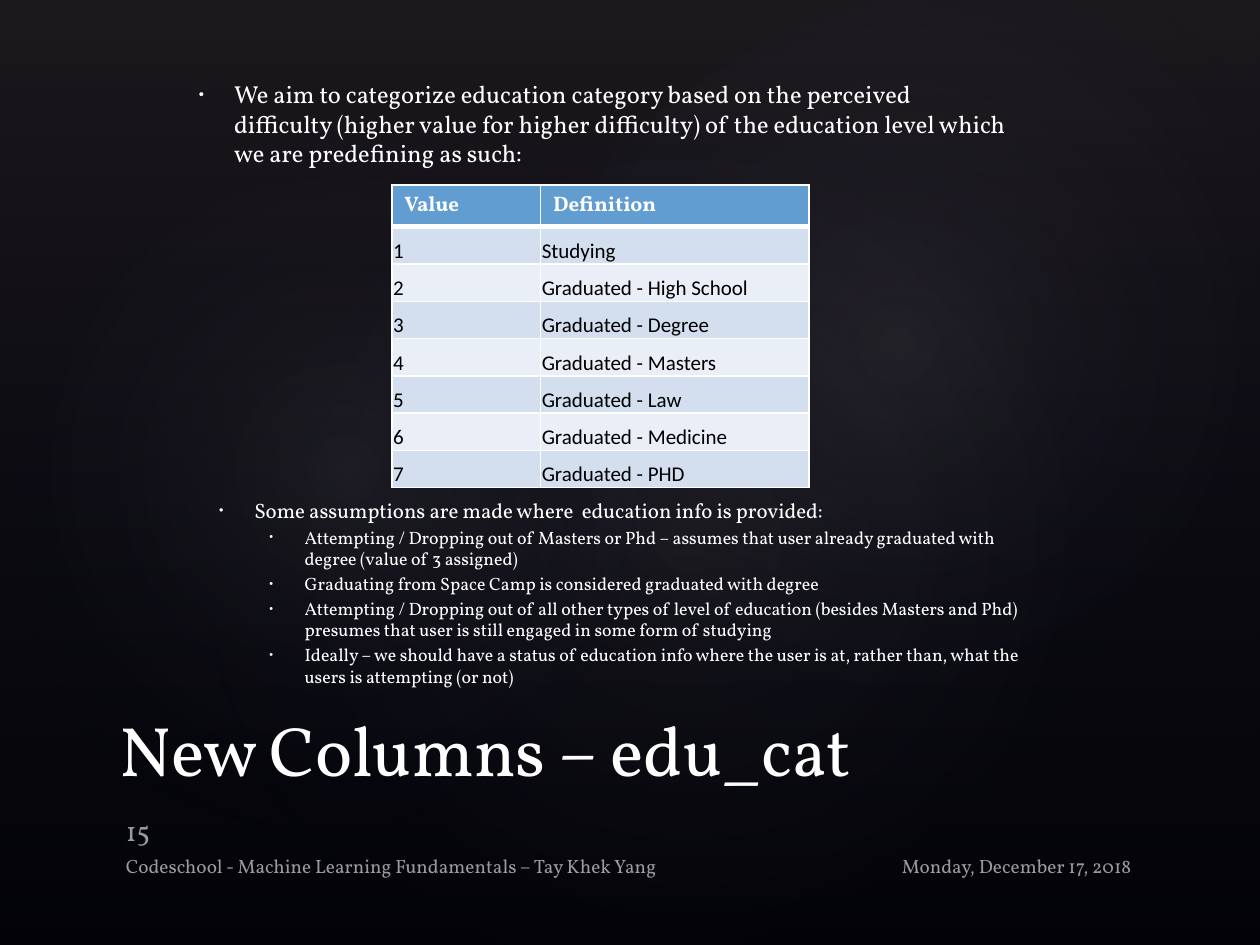
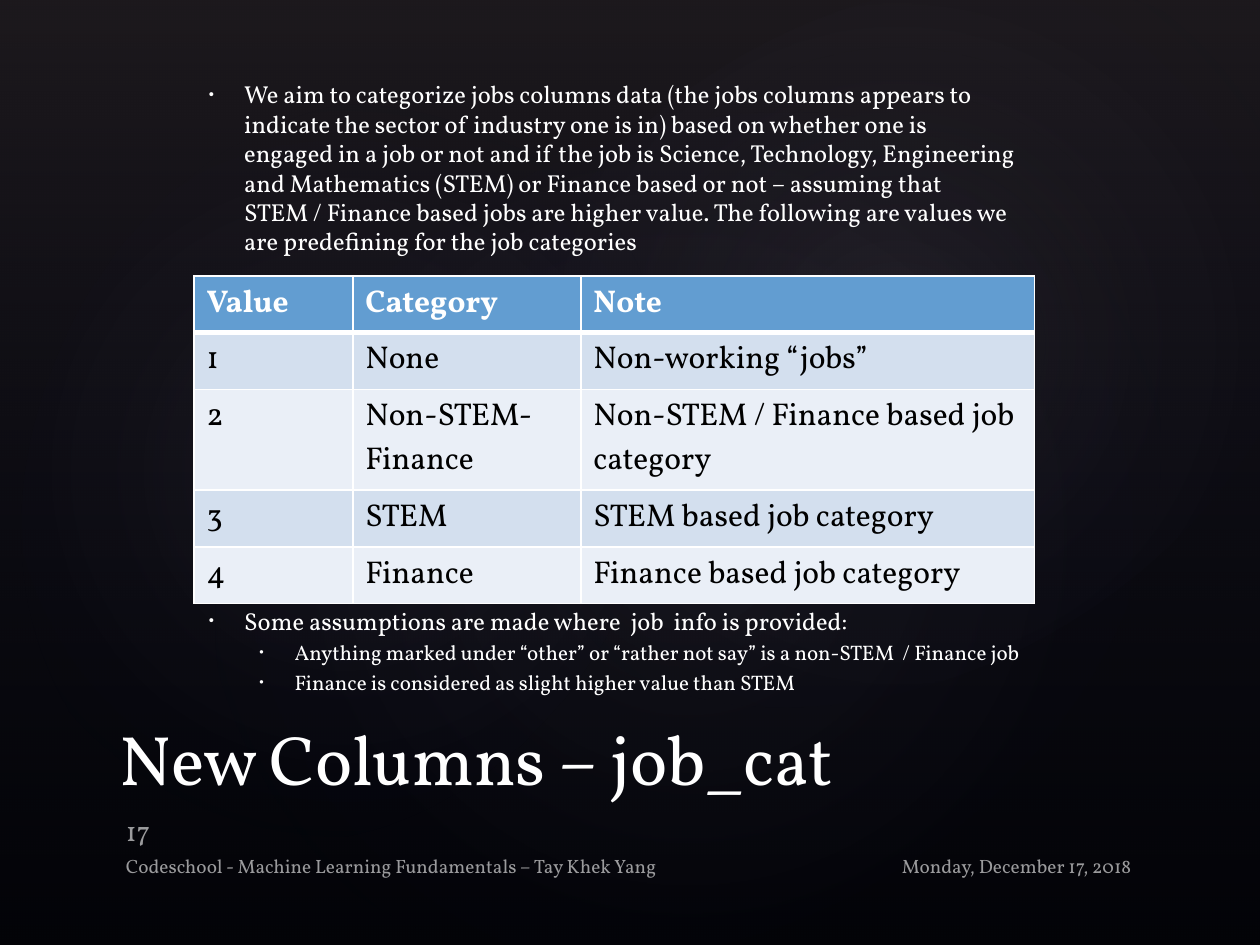
"""Build two slides that define the edu_cat and job_cat columns."""
from dataclasses import dataclass

from lxml.etree import SubElement
from pptx import Presentation
from pptx.dml.color import RGBColor
from pptx.enum.shapes import MSO_SHAPE
from pptx.enum.text import MSO_ANCHOR, PP_ALIGN
from pptx.oxml import parse_xml
from pptx.oxml.ns import nsdecls, qn
from pptx.util import Inches, Pt


@dataclass(frozen=True)
class Theme:
    font: str = "Vollkorn"
    plain_font: str = "Calibri"
    background: str = "000000"
    light: str = "FFFFFF"
    dark: str = "000000"
    header: str = "629DD1"
    bands: tuple = ("D3DFEE", "EAEFF7")
    title_size: float = 40
    number_size: float = 16
    footer_size: float = 11
    footer_alpha: int = 60
    insets: tuple = (0.1, 0.05, 0.1, 0.05)
    tight_insets: tuple = (0.01, 0.01, 0.01, 0)


THEME = Theme()
WIDTH, HEIGHT = 10, 7.5
FOOTER = "Codeschool - Machine Learning Fundamentals – Tay Khek Yang"
DATE = "Monday, December 17, 2018"

VEIL = [(0, "504652", 36), (100, "242852", 10)]
GLOWS = [
    ((1.5, 1.14, 7.92, 6.24), 328.7, 7),
    ((-0.3, 1.28, 6.06, 4.9), 294.3, 8),
    ((3.58, 0.13, 7.09, 5.2), 328.7, 8),
]

SLIDES = [
    {
        "number": "15",
        "title": "New Columns – edu_cat",
        "title_top": 5.33,
        "texts": [
            {
                "box": (1.46, 0.44, 6.67, 1.42),
                "inset_top": 0.19,
                "sizes": (14, 12),
                "lines": [
                    (0, "We aim to categorize education category based on the perceived difficulty (higher "
                        "value for higher difficulty) of the education level which we are predefining as such:"),
                ],
            },
            {
                "box": (1.62, 3.93, 6.67, 1.63),
                "inset_top": 0.02,
                "sizes": (11.9, 10.2),
                "lines": [
                    (0, "Some assumptions are made where  education info is provided:"),
                    (1, "Attempting / Dropping out of Masters or Phd – assumes that user already graduated "
                        "with degree (value of 3 assigned)"),
                    (1, "Graduating from Space Camp is considered graduated with degree"),
                    (1, "Attempting / Dropping out of all other types of level of education (besides Masters "
                        "and Phd) presumes that user is still engaged in some form of studying"),
                    (1, "Ideally – we should have a status of education info where the user is at, rather "
                        "than, what the users is attempting (or not)"),
                ],
            },
        ],
        "table": {
            "corner": (3.11, 1.47),
            "columns": (1.18, 2.13),
            "heights": (0.33,) + (2.07 / 7,) * 7,
            "size": 12,
            "compact": True,
            "rows": [
                ("Value", "Definition"),
                ("1", "Studying"),
                ("2", "Graduated - High School"),
                ("3", "Graduated - Degree"),
                ("4", "Graduated - Masters"),
                ("5", "Graduated - Law"),
                ("6", "Graduated - Medicine"),
                ("7", "Graduated - PHD"),
            ],
        },
    },
    {
        "number": "17",
        "title": "New Columns – job_cat",
        "title_top": 5.4,
        "texts": [
            {
                "box": (1.54, 0.52, 6.64, 1.97),
                "inset_top": 0.11,
                "sizes": (14, 12),
                "lines": [
                    (0, "We aim to categorize jobs columns data (the jobs columns appears to indicate the "
                        "sector of industry one is in) based on whether one is engaged in a job or not and "
                        "if the job is Science, Technology, Engineering and Mathematics (STEM) or Finance "
                        "based or not – assuming that STEM / Finance based jobs are higher value. The "
                        "following are values we are predefining for the job categories"),
                ],
            },
            {
                "box": (1.54, 4.49, 6.67, 1.42),
                "inset_top": 0.32,
                "sizes": (14, 12),
                "lines": [
                    (0, "Some assumptions are made where  job  info is provided:"),
                    (1, "Anything marked under “other” or “rather not say” is a non-STEM  / Finance job"),
                    (1, "Finance is considered as slight higher value than STEM"),
                ],
            },
        ],
        "table": {
            "corner": (1.54, 2.19),
            "columns": (1.26, 1.81, 3.6),
            "heights": (0.45, 0.45, 0.8, 0.45, 0.45),
            "size": 18,
            "compact": False,
            "rows": [
                ("Value", "Category", "Note"),
                ("1", "None", "Non-working “jobs”"),
                ("2", "Non-STEM-Finance", "Non-STEM / Finance based job category"),
                ("3", "STEM", "STEM based job category"),
                ("4", "Finance", "Finance based job category"),
            ],
        },
    },
]


def write_text(paragraph, text, size, font=THEME.font, color=THEME.light, bold=False, alpha=None,
               align=PP_ALIGN.LEFT):
    paragraph.alignment = align
    run = paragraph.add_run()
    run.text = text
    run.font.size = Pt(size)
    run.font.name = font
    run.font.bold = bold
    run.font.color.rgb = RGBColor.from_string(color)
    if alpha:
        color_element = run.font.fill._xPr.find(qn("a:solidFill"))[0]
        SubElement(color_element, qn("a:alpha"), val=str(alpha * 1000))


def set_insets(target, insets):
    target.margin_left, target.margin_top, target.margin_right, target.margin_bottom = map(Inches, insets)


def add_frame(slide, box, insets=THEME.insets, anchor=MSO_ANCHOR.TOP):
    frame = slide.shapes.add_textbox(*map(Inches, box)).text_frame
    frame.word_wrap = True
    frame.vertical_anchor = anchor
    set_insets(frame, insets)
    return frame


def add_gradient(slide, kind, box, stops, direction, rotation=0):
    shape = slide.shapes.add_shape(kind, *map(Inches, box))
    shape.rotation = rotation
    shape.shadow.inherit = False
    shape.line.fill.background()
    stop_xml = "".join(
        f'<a:gs pos="{position * 1000}"><a:srgbClr val="{color}"><a:alpha val="{alpha * 1000}"/></a:srgbClr></a:gs>'
        for position, color, alpha in stops)
    gradient = parse_xml(f'<a:gradFill {nsdecls("a")} rotWithShape="1"><a:gsLst>{stop_xml}</a:gsLst>'
                         f'{direction}</a:gradFill>')
    shape._element.spPr.find(qn("a:prstGeom")).addnext(gradient)


def add_backdrop(slide):
    slide.background.fill.solid()
    slide.background.fill.fore_color.rgb = RGBColor.from_string(THEME.background)
    add_gradient(slide, MSO_SHAPE.RECTANGLE, (0, 0, WIDTH, HEIGHT), VEIL, '<a:lin ang="5400000" scaled="0"/>')
    circle = '<a:path path="circle"><a:fillToRect l="50000" t="50000" r="50000" b="50000"/></a:path>'
    for box, rotation, alpha in GLOWS:
        add_gradient(slide, MSO_SHAPE.OVAL, box, [(0, "C4BCC6", alpha), (58, "242852", 0)], circle, rotation)


def add_bullets(slide, box, inset_top, sizes, lines):
    frame = add_frame(slide, box, (0.1, inset_top, 0.1, 0))
    for index, (level, text) in enumerate(lines):
        paragraph = frame.paragraphs[0] if index == 0 else frame.add_paragraph()
        size = sizes[level]
        paragraph.level = level
        paragraph.space_before = Pt(0.2 * size if index else 0)
        properties = paragraph._p.get_or_add_pPr()
        properties.set("marL", str(Inches(0.3 + 0.4 * level)))
        properties.set("indent", str(Inches(-0.28)))
        SubElement(properties, qn("a:buSzPct"), val="60000")
        SubElement(properties, qn("a:buFont"), typeface="Arial")
        SubElement(properties, qn("a:buChar"), char="•")
        write_text(paragraph, text, size)


def add_borders(cell, row):
    properties = cell._tc.get_or_add_tcPr()
    widths = {"L": 1, "R": 1, "T": 3 if row == 1 else 1, "B": 3 if row == 0 else 1}
    for side, width in widths.items():
        line = SubElement(properties, qn(f"a:ln{side}"), w=str(Pt(width)))
        SubElement(SubElement(line, qn("a:solidFill")), qn("a:srgbClr"), val=THEME.light)


def add_value_table(slide, corner, columns, heights, size, compact, rows):
    box = (*corner, sum(columns), sum(heights))
    table = slide.shapes.add_table(len(rows), len(columns), *map(Inches, box)).table
    for column, width in zip(table.columns, columns):
        column.width = Inches(width)
    for row, (texts, height) in enumerate(zip(rows, heights)):
        table.rows[row].height = Inches(height)
        header = row == 0
        tight = compact and not header
        for column, text in enumerate(texts):
            cell = table.cell(row, column)
            set_insets(cell, THEME.tight_insets if tight else THEME.insets)
            cell.vertical_anchor = MSO_ANCHOR.BOTTOM if tight else MSO_ANCHOR.TOP
            add_borders(cell, row)
            cell.fill.solid()
            cell.fill.fore_color.rgb = RGBColor.from_string(
                THEME.header if header else THEME.bands[(row - 1) % 2])
            write_text(cell.text_frame.paragraphs[0], text, size, bold=header,
                       font=THEME.plain_font if tight else THEME.font,
                       color=THEME.light if header else THEME.dark)


def add_title_and_footer(slide, title, title_top, number):
    title_frame = add_frame(slide, (0.85, title_top, 8.25, 1), (0.1, 0.28, 0.1, 0))
    write_text(title_frame.paragraphs[0], title, THEME.title_size)
    number_frame = add_frame(slide, (0.9, 6.39, 2.33, 0.33), (0.1, 0.05, 0.1, 0), MSO_ANCHOR.BOTTOM)
    write_text(number_frame.paragraphs[0], number, THEME.number_size, alpha=THEME.footer_alpha)
    for left, width, text, align in ((0.9, 5, FOOTER, PP_ALIGN.LEFT), (6.75, 2.33, DATE, PP_ALIGN.RIGHT)):
        frame = add_frame(slide, (left, 6.73, width, 0.4))
        write_text(frame.paragraphs[0], text, THEME.footer_size, alpha=THEME.footer_alpha, align=align)


def main():
    presentation = Presentation()
    presentation.slide_width, presentation.slide_height = Inches(WIDTH), Inches(HEIGHT)
    for content in SLIDES:
        slide = presentation.slides.add_slide(presentation.slide_layouts[6])
        add_backdrop(slide)
        add_title_and_footer(slide, content["title"], content["title_top"], content["number"])
        for block in content["texts"]:
            add_bullets(slide, **block)
        add_value_table(slide, **content["table"])
    presentation.save("out.pptx")


if __name__ == "__main__":
    main()
